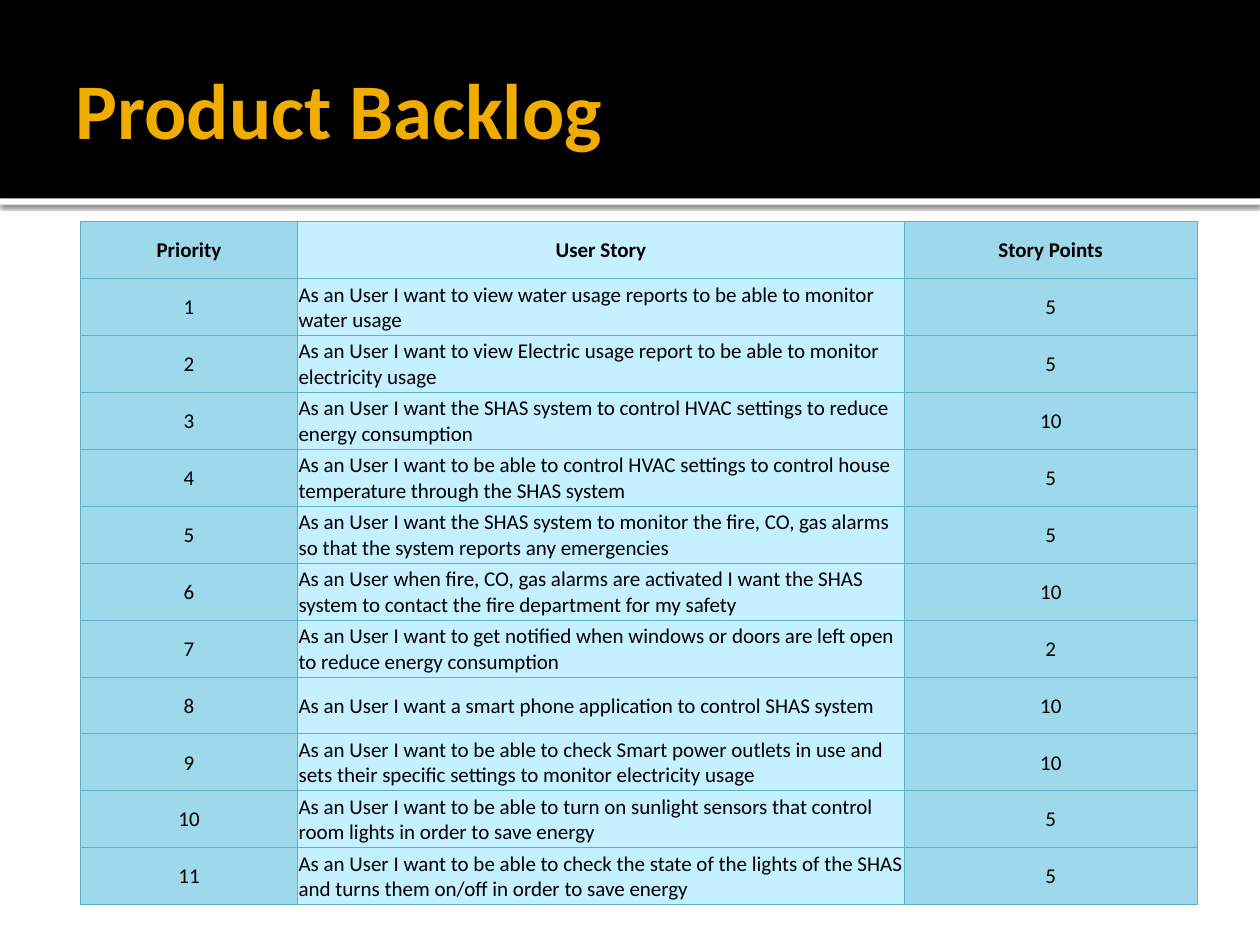
from lxml import etree
from pptx import Presentation
from pptx.dml.color import RGBColor
from pptx.enum.shapes import MSO_SHAPE
from pptx.enum.text import MSO_ANCHOR, PP_ALIGN
from pptx.oxml import parse_xml
from pptx.oxml.ns import nsdecls, qn
from pptx.util import Inches, Pt

RECT = MSO_SHAPE.RECTANGLE
MIDDLE = MSO_ANCHOR.MIDDLE
LEFT, CENTER = PP_ALIGN.LEFT, PP_ALIGN.CENTER

BLACK = RGBColor(0x00, 0x00, 0x00)
WHITE = RGBColor(0xFF, 0xFF, 0xFF)
GOLD = RGBColor(0xF0, 0xAD, 0x00)
SKY = RGBColor(0x9D, 0xD8, 0xEB)
PALE = RGBColor(0xC5, 0xF0, 0xFF)
TEAL = RGBColor(0x5B, 0xB3, 0xCA)

FONT = "Calibri"
WIDTH, HEIGHT = Inches(10), Inches(7.5)
BAND = 0.21 * HEIGHT
COLS = (1.72, 4.82, 2.32)
ROW = 5.42 / 12

HEAD = ("Priority", "User Story", "Story Points")
STORIES = (
    ("As an User I want to view water usage reports to be able to monitor water usage", 5),
    ("As an User I want to view Electric usage report to be able to monitor electricity usage", 5),
    ("As an User I want the SHAS system to control HVAC settings to reduce energy consumption", 10),
    ("As an User I want to be able to control HVAC settings to control house temperature "
     "through the SHAS system", 5),
    ("As an User I want the SHAS system to monitor the fire, CO, gas alarms so that the "
     "system reports any emergencies", 5),
    ("As an User when fire, CO, gas alarms are activated I want the SHAS system to contact "
     "the fire department for my safety", 10),
    ("As an User I want to get notified when windows or doors are left open to reduce "
     "energy consumption", 2),
    ("As an User I want a smart phone application to control SHAS system", 10),
    ("As an User I want to be able to check Smart power outlets in use and sets their "
     "specific settings to monitor electricity usage", 10),
    ("As an User I want to be able to turn on sunlight sensors that control room lights "
     "in order to save energy", 5),
    ("As an User I want to be able to check the state of the lights of the SHAS and turns "
     "them on/off in order to save energy", 5),
)


def add_run(para, text, size, color, bold):
    run = para.add_run()
    run.text = text
    font = run.font
    font.name, font.size, font.bold = FONT, Pt(size), bold
    font.color.rgb = color


def add_bar(slide, top, height, color):
    bar = slide.shapes.add_shape(RECT, 0, int(top), WIDTH, int(height))
    bar.shadow.inherit = False
    bar.fill.solid()
    bar.fill.fore_color.rgb = color
    bar.line.fill.background()
    return bar


def add_shadow(shape):
    effects = shape._element.spPr.find(qn("a:effectLst"))
    effects.append(parse_xml(
        f'<a:outerShdw {nsdecls("a")} blurRad="{Pt(2.5)}" dist="{Pt(0.8)}" '
        'dir="5400000" algn="t" rotWithShape="0"><a:srgbClr val="000000">'
        '<a:alpha val="60000"/></a:srgbClr></a:outerShdw>'))


def set_title(slide, text):
    title = slide.shapes.title
    slide.shapes._spTree.append(title._element)
    title.left, title.top = Inches(0.5), Inches(0.17)
    title.width, title.height = Inches(9), Inches(1.37)
    frame = title.text_frame
    frame.vertical_anchor = MIDDLE
    frame.margin_left = Inches(0.1)
    frame.margin_right = frame.margin_top = frame.margin_bottom = Inches(0.05)
    para = frame.paragraphs[0]
    para.alignment = LEFT
    add_run(para, text, 45, GOLD, True)


def set_border(cell):
    props = cell._tc.get_or_add_tcPr()
    for spot, side in enumerate(("lnL", "lnR", "lnT", "lnB")):
        line = etree.Element(qn(f"a:{side}"), w=str(Pt(0.5)))
        fill = etree.SubElement(line, qn("a:solidFill"))
        etree.SubElement(fill, qn("a:srgbClr"), val=str(TEAL))
        props.insert(spot, line)


def fill_cell(cell, text, color, align, bold):
    cell.fill.solid()
    cell.fill.fore_color.rgb = color
    set_border(cell)
    cell.vertical_anchor = MIDDLE
    cell.margin_left = cell.margin_right = cell.margin_top = Inches(0.01)
    cell.margin_bottom = 0
    para = cell.text_frame.paragraphs[0]
    para.alignment = align
    add_run(para, text, 12, BLACK, bold)


def add_grid(slide, rows):
    frame = slide.shapes.add_table(
        len(rows), len(COLS), Inches(0.64), Inches(1.76),
        Inches(sum(COLS)), Inches(ROW * len(rows)))
    table = frame.table
    table.horz_banding = False
    for col, width in zip(table.columns, COLS):
        col.width = Inches(width)
    for r, row in enumerate(rows):
        table.rows[r].height = Inches(ROW)
        for c, text in enumerate(row):
            color = PALE if c == 1 else SKY
            align = LEFT if r and c == 1 else CENTER
            fill_cell(table.cell(r, c), text, color, align, r == 0)


def main():
    deck = Presentation()
    deck.slide_width, deck.slide_height = WIDTH, HEIGHT
    slide = deck.slides.add_slide(deck.slide_layouts[5])
    add_shadow(add_bar(slide, BAND, Inches(0.05), WHITE))
    add_bar(slide, 0, BAND, BLACK)
    set_title(slide, "Product Backlog")
    body = [(str(n), story, str(points))
            for n, (story, points) in enumerate(STORIES, 1)]
    add_grid(slide, [HEAD] + body)
    deck.save("out.pptx")


if __name__ == "__main__":
    main()
